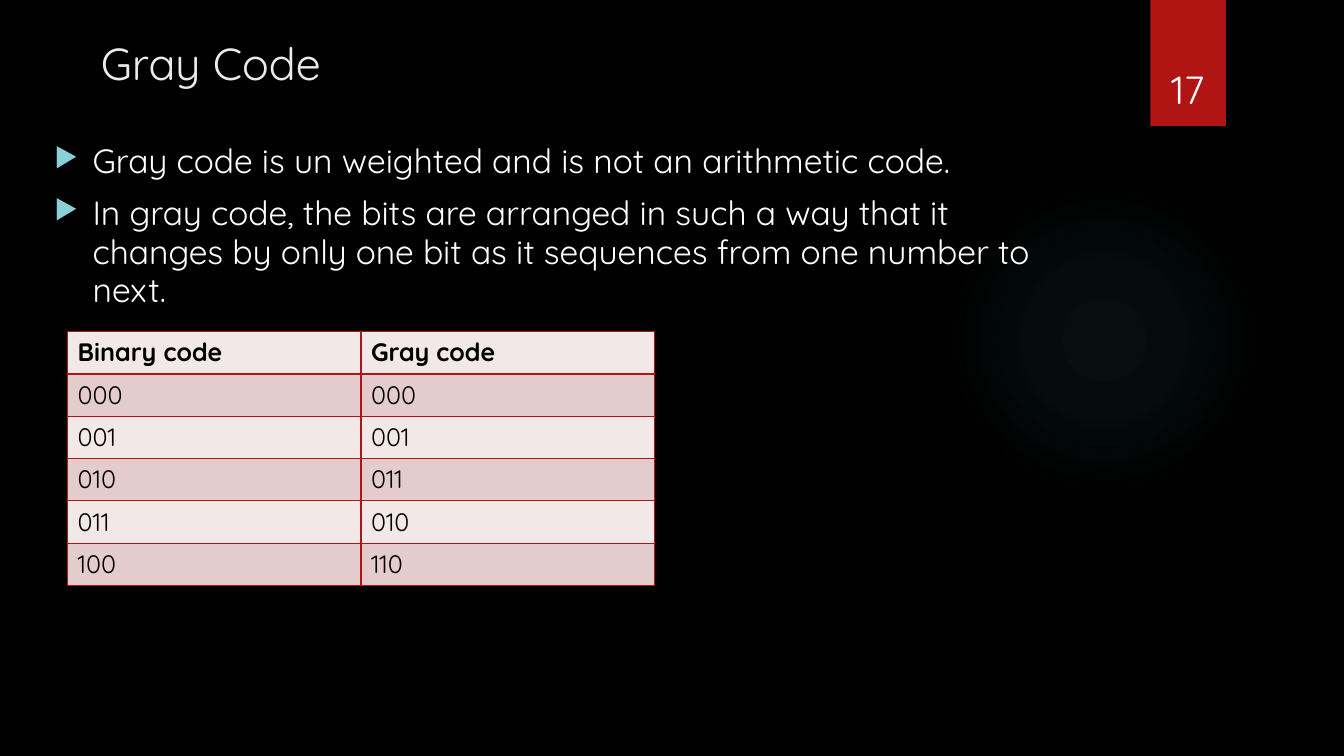
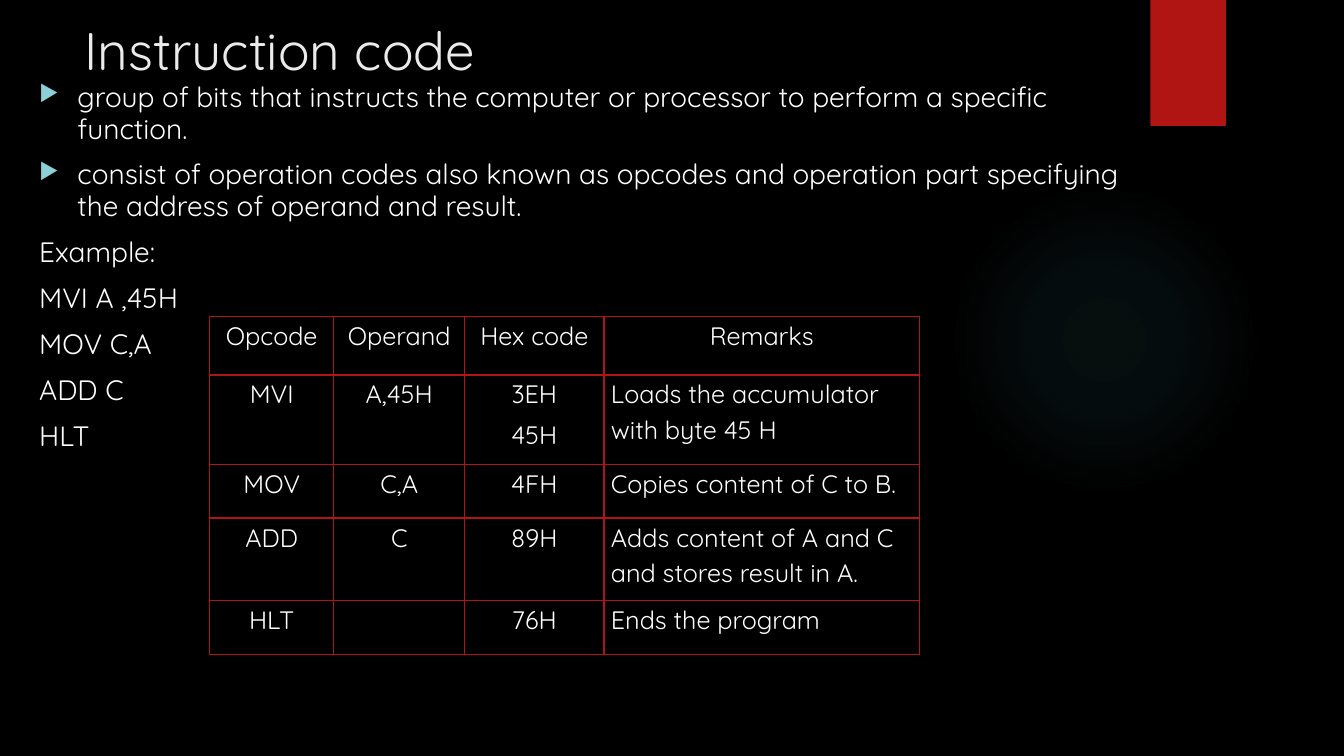
from pptx import Presentation
from pptx.dml.color import RGBColor
from pptx.enum.shapes import MSO_SHAPE
from pptx.enum.text import MSO_ANCHOR, MSO_AUTO_SIZE, PP_ALIGN
from pptx.oxml import parse_xml
from pptx.oxml.ns import nsdecls
from pptx.util import Inches, Pt

# Shared look
FONT = "Quicksand"
BLACK, WHITE, TITLE_COLOR = "000000", "FFFFFF", "EBEBEB"
RED, GLOW_COLOR, BULLET_COLOR = "B01513", "50B9C1", "8AD0D6"
LIGHT_ROW, DARK_ROW = "F2E8E7", "E4CCCC"
INDENT = 0.38
GLOW_STOPS = [(0, 7), (36, 6), (69, 0)]  # position and opacity in percent

# Content: boxes are left, top, width, height in inches
SLIDES = [
    {
        "title": ("Gray Code", 32, (0.9, 0.3, 10.27, 0.87)),
        "number": "17",
        "body_box": (0.44, 1.37, 9.92, 5.24),
        "body_size": 24,
        "bullets": [
            "Gray code is un weighted and is not an arithmetic code.",
            "In gray code, the bits are arranged in such a way that it changes "
            "by only one bit as it sequences from one number to next.",
        ],
        "plain": [],
        "table": {
            "corner": (0.67, 3.29),
            "columns": [2.91] * 2,
            "row_heights": [0.42] * 6,
            "rows": [
                ("Binary code", "Gray code"),
                ("000", "000"),
                ("001", "001"),
                ("010", "011"),
                ("011", "010"),
                ("100", "110"),
            ],
            "banded": True,
        },
    },
    {
        "title": ("Instruction code", 37.8, (0.74, 0.12, 9.4, 0.63)),
        "number": None,
        "body_box": (0.29, 0.76, 11.29, 6.74),
        "body_size": 20,
        "bullets": [
            "group of bits that instructs the computer or processor to perform "
            "a specific function.",
            "consist of operation codes also known as opcodes and operation part "
            "specifying the address of operand and result.",
        ],
        "plain": ["Example:", "MVI A ,45H", "MOV C,A", "ADD C", "HLT"],
        "table": {
            "corner": (2.08, 3.14),
            "columns": [1.23, 1.3, 1.38, 3.13],
            "row_heights": [0.58, 0.89, 0.53, 0.82, 0.53],
            "rows": [
                ("Opcode", "Operand", "Hex code", "Remarks"),
                ("MVI", "A,45H", "3EH\n45H", "Loads the accumulator with byte 45 H"),
                ("MOV", "C,A", "4FH", "Copies content of C to B."),
                ("ADD", "C", "89H", "Adds content of A and C and stores result in A."),
                ("HLT", "", "76H", "Ends the program"),
            ],
            "banded": False,
        },
    },
]


# Helpers
def color(value):
    return RGBColor.from_string(value)


def set_all(target, **values):
    for name, value in values.items():
        setattr(target, name, value)


def inches(lengths):
    return [Inches(length) for length in lengths]


def write(para, text, size, text_color, bold=False, **para_format):
    set_all(para, **para_format)
    span = para.add_run()
    span.text = text
    set_all(span.font, name=FONT, size=Pt(size), bold=bold)
    span.font.color.rgb = color(text_color)


def add_paragraph(frame, index):
    return frame.paragraphs[0] if index == 0 else frame.add_paragraph()


def add_bullet(para):
    properties = para._p.get_or_add_pPr()
    properties.set("marL", str(Inches(INDENT)))
    properties.set("indent", str(-Inches(INDENT)))
    for xml in (
        f'<a:buClr {nsdecls("a")}><a:srgbClr val="{BULLET_COLOR}"/></a:buClr>',
        f'<a:buSzPct {nsdecls("a")} val="80000"/>',
        f'<a:buChar {nsdecls("a")} char="▶"/>',
    ):
        properties.append(parse_xml(xml))


def add_text_box(page, box, anchor=MSO_ANCHOR.TOP):
    frame = page.shapes.add_textbox(*inches(box)).text_frame
    set_all(frame, word_wrap=True, vertical_anchor=anchor)
    return frame


def add_plain_shape(page, kind, box):
    shape = page.shapes.add_shape(kind, *inches(box))
    shape.shadow.inherit = False
    shape.line.fill.background()
    return shape


# Parts shared by the slides
def add_decoration(page):
    glow = add_plain_shape(page, MSO_SHAPE.OVAL, (9.41, 1.83, 3.08, 3.08))
    stops = "".join(
        f'<a:gs pos="{position * 1000}"><a:srgbClr val="{GLOW_COLOR}">'
        f'<a:alpha val="{opacity * 1000}"/></a:srgbClr></a:gs>'
        for position, opacity in GLOW_STOPS
    )
    gradient = parse_xml(
        f'<a:gradFill {nsdecls("a")}><a:gsLst>{stops}</a:gsLst><a:path path="circle">'
        '<a:fillToRect l="50000" t="50000" r="50000" b="50000"/></a:path></a:gradFill>'
    )
    glow._element.spPr.insert(2, gradient)

    band = add_plain_shape(page, MSO_SHAPE.RECTANGLE, (11.41, 0, 0.75, 1.25))
    band.fill.solid()
    band.fill.fore_color.rgb = color(RED)


def add_title(page, text, size, box):
    title = page.shapes.title
    set_all(title, **dict(zip(("left", "top", "width", "height"), inches(box))))
    frame = title.text_frame
    set_all(frame, word_wrap=True, auto_size=MSO_AUTO_SIZE.NONE,
            vertical_anchor=MSO_ANCHOR.TOP)
    write(frame.paragraphs[0], text, size, TITLE_COLOR, alignment=PP_ALIGN.LEFT)


def add_body(page, content):
    frame = add_text_box(page, content["body_box"])
    bullets = content["bullets"]
    for index, text in enumerate(bullets + content["plain"]):
        para = add_paragraph(frame, index)
        write(para, text, content["body_size"], WHITE,
              space_before=Pt(10), line_spacing=0.95)
        if index < len(bullets):
            add_bullet(para)


# Tables
def add_borders(cell):
    properties = cell._tc.get_or_add_tcPr()
    for index, side in enumerate("LRTB"):
        properties.insert(index, parse_xml(
            f'<a:ln{side} {nsdecls("a")} w="{Pt(1)}"><a:solidFill>'
            f'<a:srgbClr val="{RED}"/></a:solidFill></a:ln{side}>'
        ))


def fill_cell(cell, text, row, column, banded):
    if banded:
        cell.fill.solid()
        cell.fill.fore_color.rgb = color(DARK_ROW if row % 2 else LIGHT_ROW)
        para_format, text_color = {}, BLACK
    else:
        cell.fill.background()
        set_all(cell, margin_left=Inches(0.07), margin_right=Inches(0.07),
                margin_top=0, margin_bottom=0)
        remark = row > 0 and column == 3
        para_format = {
            "alignment": PP_ALIGN.LEFT if remark else PP_ALIGN.CENTER,
            "line_spacing": 1.12,
            "space_before": Pt(4),
        }
        text_color = WHITE
    add_borders(cell)
    if text:
        for index, line in enumerate(text.split("\n")):
            write(add_paragraph(cell.text_frame, index), line, 18, text_color,
                  bold=banded and row == 0, **para_format)


def add_grid(page, corner, columns, row_heights, rows, banded):
    box = (*corner, sum(columns), sum(row_heights))
    table = page.shapes.add_table(len(rows), len(columns), *inches(box)).table
    set_all(table, first_row=False, horz_banding=False)
    for column, width in zip(table.columns, columns):
        column.width = Inches(width)
    for row, height in zip(table.rows, row_heights):
        row.height = Inches(height)
    for row, texts in enumerate(rows):
        for column, text in enumerate(texts):
            fill_cell(table.cell(row, column), text, row, column, banded)


def main():
    deck = Presentation()
    set_all(deck, slide_width=Inches(13.33), slide_height=Inches(7.5))
    background = deck.slide_master.background.fill
    background.solid()
    background.fore_color.rgb = color(BLACK)

    for content in SLIDES:
        page = deck.slides.add_slide(deck.slide_layouts[5])
        add_decoration(page)
        add_title(page, *content["title"])
        add_body(page, content)
        if content["number"]:
            frame = add_text_box(page, (11.32, 0.32, 0.92, 0.84), MSO_ANCHOR.BOTTOM)
            write(frame.paragraphs[0], content["number"], 28, WHITE,
                  alignment=PP_ALIGN.CENTER)
        add_grid(page, **content["table"])

    deck.save("out.pptx")


if __name__ == "__main__":
    main()
